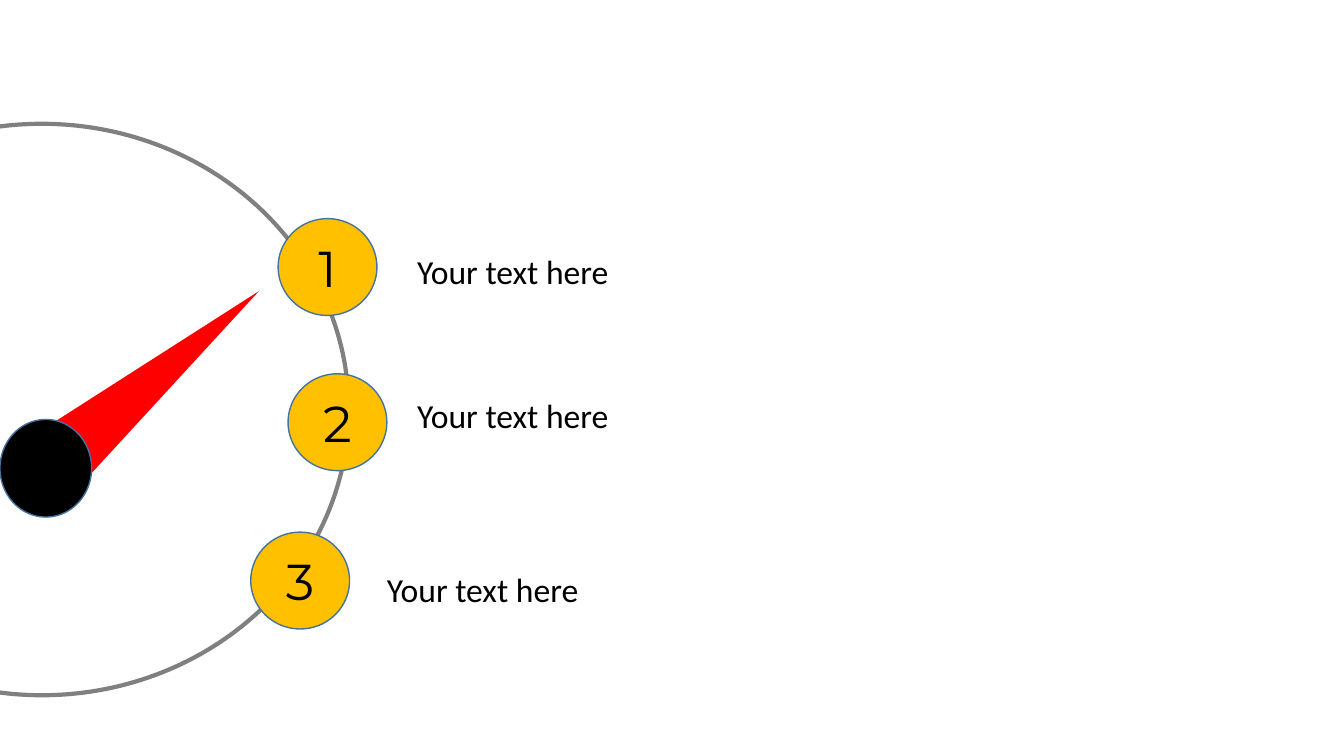
from pptx import Presentation
from pptx.dml.color import RGBColor
from pptx.enum.shapes import MSO_SHAPE as Shape
from pptx.enum.text import MSO_ANCHOR as Anchor, MSO_AUTO_SIZE as AutoSize, PP_ALIGN as Align
from pptx.util import Cm, Pt

# Content: number, badge corner (cm), label, label corner (cm)
STEPS = [
    ("1", (7.01, 5.51), "Your text here", (10.26, 6.2)),
    ("2", (7.26, 9.42), "Your text here", (10.26, 9.83)),
    ("3", (6.32, 13.41), "Your text here", (9.5, 14.22)),
]
BADGE_SIZE = (2.49, 2.44)
LABEL_SIZE = (9.75, 1.27)

# Dial: left, top, width, height (cm)
NEEDLE = (2.97, 6.1, 1.8, 6.93)
NEEDLE_ANGLE = 50
HUB = (0, 10.57, 2.31, 2.46)
DIAL = (-6.68, 3.12, 15.47, 14.4)
DIAL_ENDS = (156.31, 59.56)


class Theme:
    needle = RGBColor(0xFF, 0x00, 0x00)
    dial = RGBColor(0x80, 0x80, 0x80)
    badge = RGBColor(0xFF, 0xC0, 0x00)
    outline = RGBColor(0x43, 0x73, 0x9E)
    ink = RGBColor(0x00, 0x00, 0x00)
    number_font, number_size = "Montserrat", Pt(36)
    label_font, label_size = "Calibri", Pt(24)
    outline_width, dial_width = Pt(1), Pt(3)


def add_part(page, kind, frame, fill=None, line=None, width=Theme.outline_width):
    part = page.shapes.add_shape(kind, *map(Cm, frame))
    part.shadow.inherit = False
    for target, color in ((part.fill, fill), (part.line.fill, line)):
        if color is None:
            target.background()
        else:
            target.solid()
            target.fore_color.rgb = color
    if line is not None:
        part.line.width = width
    return part


def write(box, text, font, size, align):
    para = box.text_frame.paragraphs[0]
    para.text = text
    para.alignment = align
    para.font.name = font
    para.font.size = size
    para.font.color.rgb = Theme.ink


deck = Presentation()
deck.slide_width, deck.slide_height = Cm(33.87), Cm(19.05)
page = deck.slides.add_slide(deck.slide_layouts[6])

# Needle, hub and dial
needle = add_part(page, Shape.ISOSCELES_TRIANGLE, NEEDLE, fill=Theme.needle)
needle.rotation = NEEDLE_ANGLE
add_part(page, Shape.OVAL, HUB, fill=Theme.ink, line=Theme.outline)
dial = add_part(page, Shape.ARC, DIAL, line=Theme.dial, width=Theme.dial_width)
for index, end in enumerate(DIAL_ENDS):
    dial.adjustments[index] = end

# Numbered badges with their labels
for number, badge_corner, label, label_corner in STEPS:
    badge = add_part(page, Shape.OVAL, badge_corner + BADGE_SIZE, Theme.badge, Theme.outline)
    badge.text_frame.vertical_anchor = Anchor.MIDDLE
    write(badge, number, Theme.number_font, Theme.number_size, Align.CENTER)

    box = page.shapes.add_textbox(*map(Cm, label_corner + LABEL_SIZE))
    box.text_frame.word_wrap = True
    box.text_frame.auto_size = AutoSize.SHAPE_TO_FIT_TEXT
    write(box, label, Theme.label_font, Theme.label_size, Align.LEFT)

deck.save("out.pptx")
